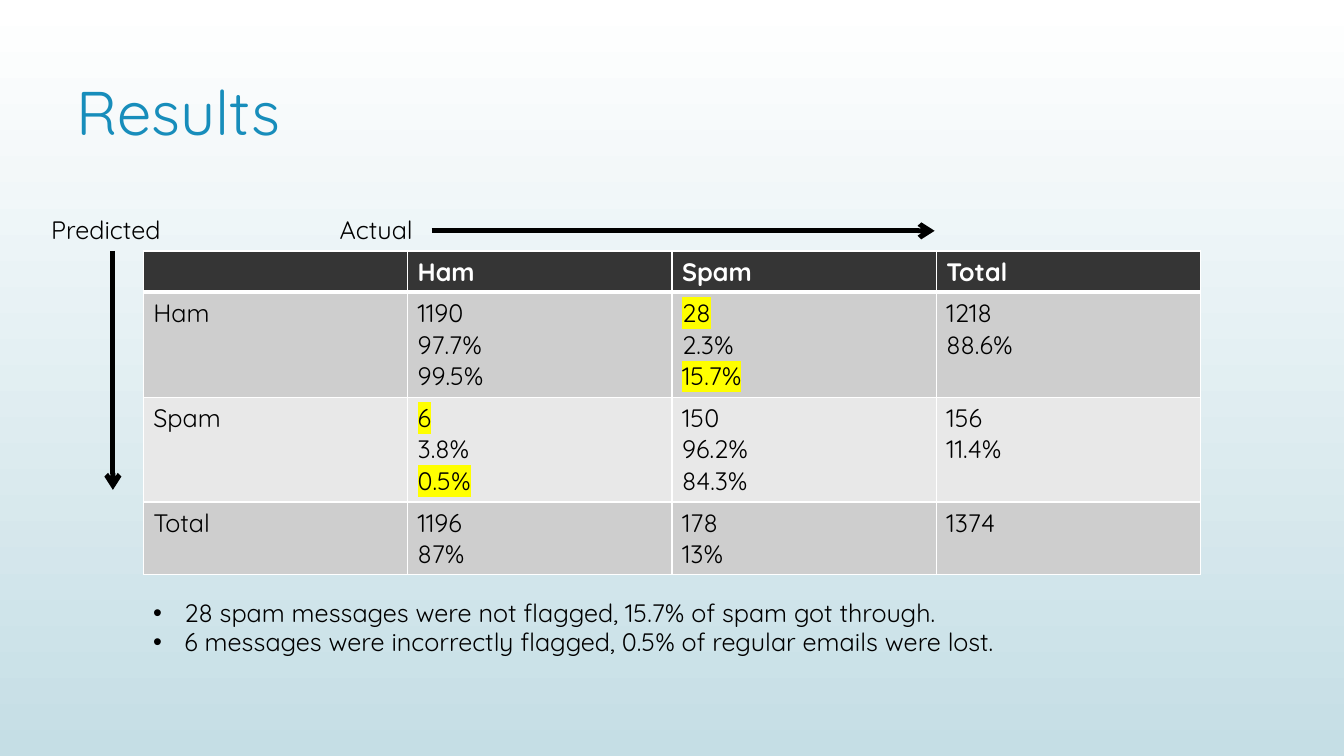
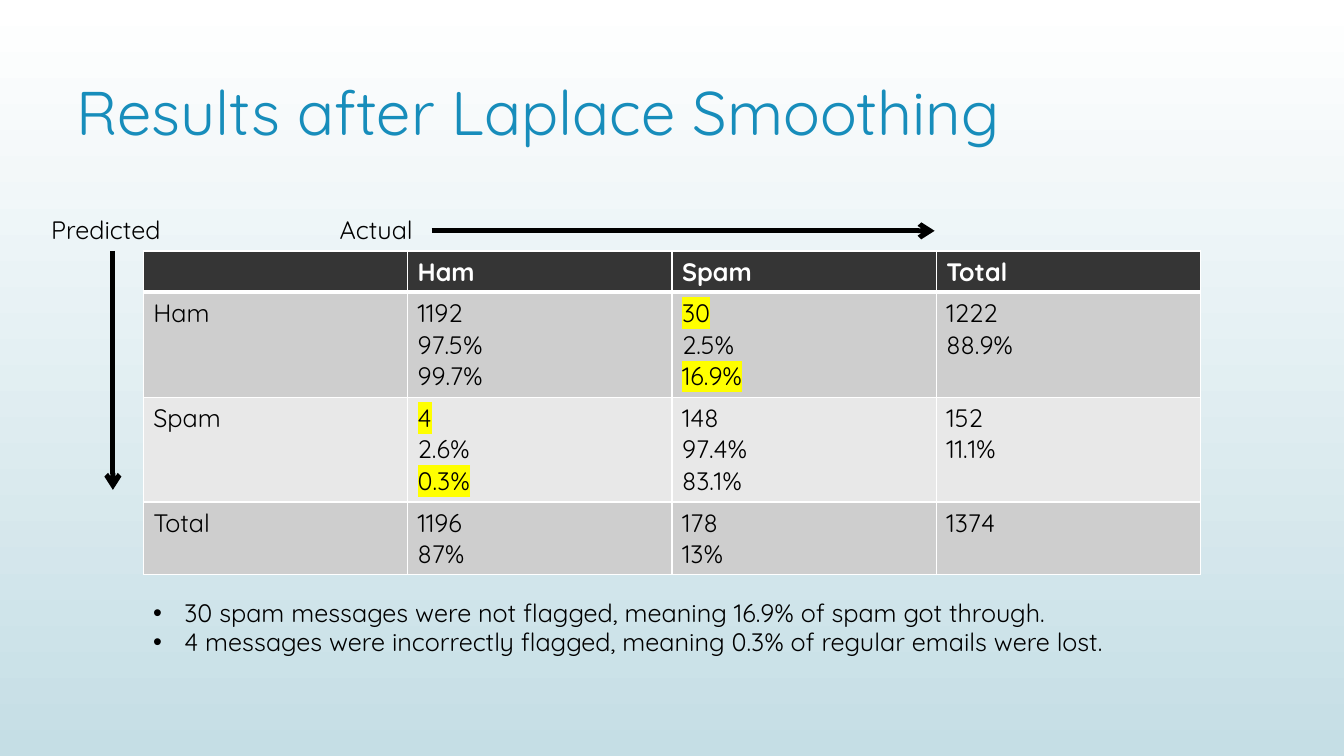
from dataclasses import dataclass

from lxml import etree
from pptx import Presentation
from pptx.dml.color import RGBColor
from pptx.enum.shapes import MSO_CONNECTOR
from pptx.oxml.ns import qn
from pptx.util import Inches, Pt

STRAIGHT = MSO_CONNECTOR.STRAIGHT


@dataclass(frozen=True)
class Theme:
    font: str = "Quicksand"
    title: str = "178DBB"
    ink: str = "000000"
    white: str = "FFFFFF"
    sky: str = "C5DEE5"
    head: str = "353535"
    bands: tuple = ("E8E8E8", "CECECE")
    mark: str = "FFFF00"
    title_size: float = 44
    body_size: float = 18
    rule: float = 1
    head_rule: float = 3
    arrow: float = 3.5


THEME = Theme()
HEADS = ["", "Ham", "Spam", "Total"]
ROWS = [0.41, 1.04, 1.04, 0.72]
TABLE = (1.42, 2.49, 10.49, sum(ROWS))
TOTALS = ["1196 87%", "178 13%", "1374"]

RESULTS = [
    ("Results",
     [["1190 97.7% 99.5%", "28 2.3% 15.7%", "1218 88.6%"],
      ["6 3.8% 0.5%", "150 96.2% 84.3%", "156 11.4%"]],
     ["28 spam messages were not flagged, 15.7% of spam got through.",
      "6 messages were incorrectly flagged, 0.5% of regular emails were lost."]),
    ("Results after Laplace Smoothing",
     [["1192 97.5% 99.7%", "30 2.5% 16.9%", "1222 88.9%"],
      ["4 2.6% 0.3%", "148 97.4% 83.1%", "152 11.1%"]],
     ["30 spam messages were not flagged, meaning 16.9% of spam got through.",
      "4 messages were incorrectly flagged, meaning 0.3% of regular emails were lost."]),
]


def rgb(code):
    return RGBColor.from_string(code)


def add_color(parent, tag, code):
    """Append a colour holder such as a:solidFill to an element."""
    node = etree.SubElement(parent, qn(tag))
    etree.SubElement(node, qn("a:srgbClr"), val=code)
    return node


# Text
def write(frame, lines, size=THEME.body_size, color=THEME.ink, bold=False,
          marks=(), bullet=False, spacing=None):
    """Write one paragraph a line; marks lists the lines to highlight."""
    frame.word_wrap = True
    for i, line in enumerate(lines):
        para = frame.add_paragraph() if i else frame.paragraphs[0]
        para.line_spacing = spacing
        run = para.add_run()
        run.text = line
        font = run.font
        font.size, font.bold, font.name = Pt(size), bold, THEME.font
        font.color.rgb = rgb(color)
        if i in marks:
            props = run._r.get_or_add_rPr()
            glow = add_color(props, "a:highlight", THEME.mark)
            props.find(qn("a:latin")).addprevious(glow)
        if bullet:
            props = para._p.get_or_add_pPr()
            props.set("marL", str(Inches(0.31)))
            props.set("indent", str(-Inches(0.31)))
            etree.SubElement(props, qn("a:buFont"), typeface="Arial")
            etree.SubElement(props, qn("a:buChar"), char="•")


def add_text(slide, box, lines, **style):
    shape = slide.shapes.add_textbox(*map(Inches, box))
    write(shape.text_frame, lines, **style)


# Arrows
def add_arrow(slide, start, end):
    line = slide.shapes.add_connector(STRAIGHT, *map(Inches, start + end))
    line.line.color.rgb = rgb(THEME.ink)
    line.line.width = Pt(THEME.arrow)
    etree.SubElement(line.line._get_or_add_ln(), qn("a:tailEnd"), type="arrow")
    etree.SubElement(line._element.spPr, qn("a:effectLst"))


# Table
def set_edges(cell, top, bottom):
    """Draw white borders, which must stand ahead of the fill."""
    props = cell._tc.get_or_add_tcPr()
    widths = {"L": THEME.rule, "R": THEME.rule, "T": top, "B": bottom}
    for i, (side, width) in enumerate(widths.items()):
        edge = etree.Element(qn("a:ln" + side), w=str(Pt(width)))
        add_color(edge, "a:solidFill", THEME.white)
        props.insert(i, edge)


def add_matrix(slide, counts):
    body = [[name] + row for name, row in zip(HEADS[1:], counts + [TOTALS])]
    grid = [HEADS] + body
    table = slide.shapes.add_table(len(grid), len(HEADS),
                                   *map(Inches, TABLE)).table
    table.horz_banding = False
    for r, row in enumerate(grid):
        table.rows[r].height = Inches(ROWS[r])
        for c, text in enumerate(row):
            cell = table.cell(r, c)
            cell.fill.solid()
            cell.fill.fore_color.rgb = rgb(THEME.bands[r % 2] if r else THEME.head)
            set_edges(cell, THEME.head_rule if r == 1 else THEME.rule,
                      THEME.rule if r else THEME.head_rule)
            # Wrong guesses lie off the diagonal
            wrong = (r, c) in ((1, 2), (2, 1))
            write(cell.text_frame, text.split() or [""], bold=r == 0,
                  color=THEME.ink if r else THEME.white,
                  marks=(0, 2) if wrong else ())


# Slide
def add_back(slide):
    fill = slide.background.fill
    fill.gradient()
    fill.gradient_angle = 270
    for stop, code in zip(fill.gradient_stops, (THEME.white, THEME.sky)):
        stop.color.rgb = rgb(code)


def add_result(deck, title, counts, notes):
    slide = deck.slides.add_slide(deck.slide_layouts[6])
    add_back(slide)
    add_text(slide, (0.66, 0.68, 11.92, 1.4), [title],
             size=THEME.title_size, color=THEME.title)
    add_matrix(slide, counts)
    # Axis labels and arrows
    add_text(slide, (3.27, 2.08, 1.02, 0.4), ["Actual"])
    add_text(slide, (0.41, 2.08, 1.4, 0.4), ["Predicted"])
    add_arrow(slide, (4.28, 2.29), (9.27, 2.29))
    add_arrow(slide, (1.12, 2.49), (1.12, 4.86))
    # Findings
    add_text(slide, (1.42, 5.89, 10.12, 0.71), notes, bullet=True, spacing=0.97)


def main():
    deck = Presentation()
    deck.slide_width, deck.slide_height = Inches(13.33), Inches(7.5)
    for result in RESULTS:
        add_result(deck, *result)
    deck.save("out.pptx")


if __name__ == "__main__":
    main()
